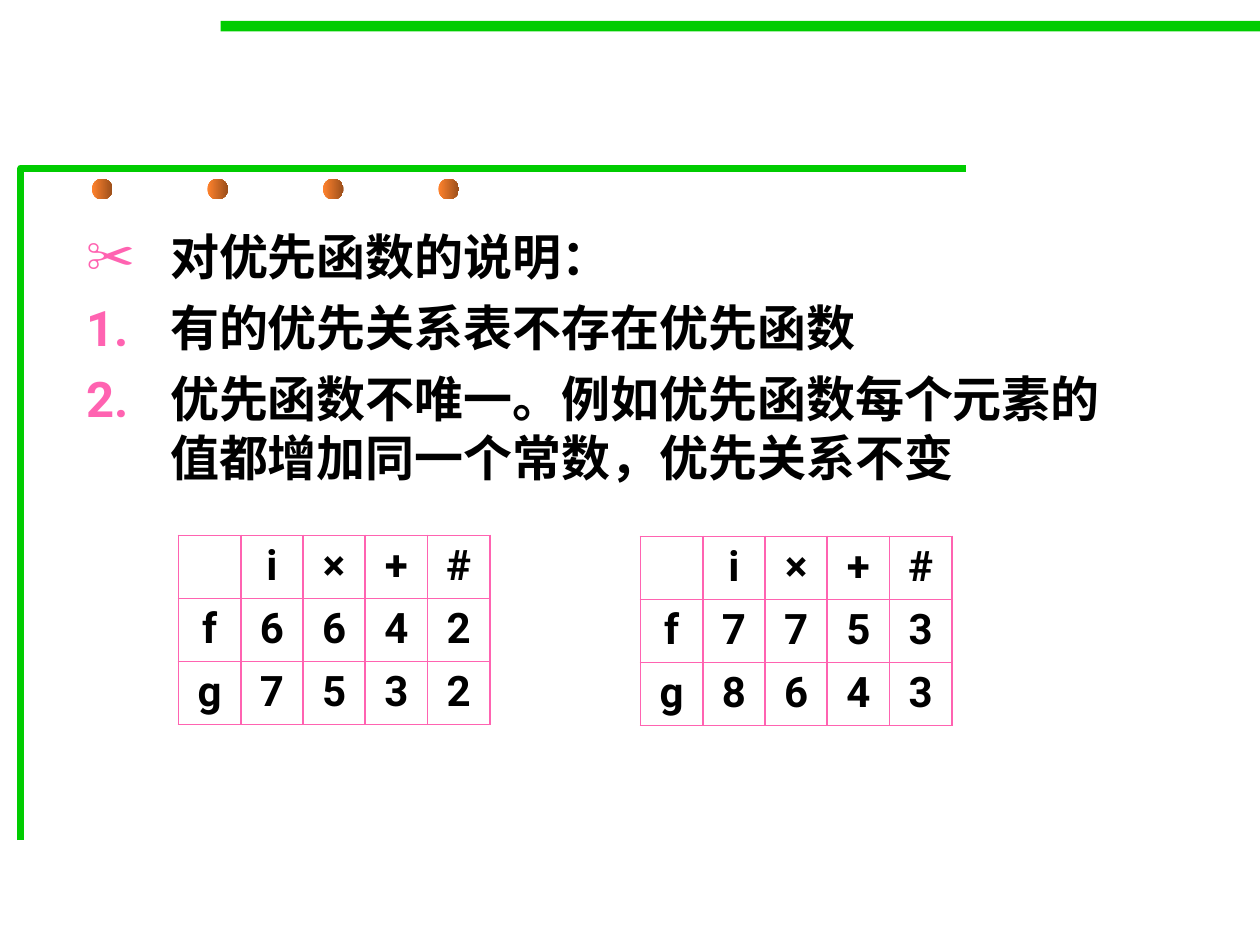
from lxml import etree
from pptx import Presentation
from pptx.dml.color import RGBColor
from pptx.enum.shapes import MSO_SHAPE
from pptx.enum.text import MSO_ANCHOR, MSO_AUTO_SIZE, PP_ALIGN
from pptx.oxml.ns import qn
from pptx.util import Pt

RECT, OVAL = MSO_SHAPE.RECTANGLE, MSO_SHAPE.OVAL
TOP, CENTER, NO_FIT = MSO_ANCHOR.TOP, PP_ALIGN.CENTER, MSO_AUTO_SIZE.NONE
FONT = "Roboto"
COLORS = {"green": "00CC00", "light": "FF822D", "dark": "9B4F1B",
          "pink": "FF63B1", "text": "000000"}
HEAD = ["", "i", "×", "+", "#"]


def rgb(name):
    return RGBColor.from_string(COLORS[name])


def add_node(parent, tag, **attrs):
    return etree.SubElement(parent, qn(tag), attrs)


def add_color(parent, name):
    add_node(parent, "a:srgbClr", val=COLORS[name])


def style_text(para, size):
    for run in para.runs:
        font = run.font
        font.name, font.size, font.bold = FONT, Pt(size), True
        font.color.rgb = rgb("text")
        # Chinese characters take the East Asian typeface
        add_node(font._element, "a:ea", typeface=FONT)


def add_bar(slide):
    bar = slide.shapes.add_shape(RECT, Pt(126), Pt(12), Pt(594), Pt(6))
    bar.shadow.inherit = False
    bar.fill.solid()
    bar.fill.fore_color.rgb = rgb("green")
    bar.line.fill.background()


def add_frame(slide):
    """Draw the open corner line at the left and top of the content."""
    pen = slide.shapes.build_freeform(Pt(12), Pt(480))
    pen.add_line_segments([(Pt(12), Pt(96)), (Pt(552), Pt(96))], close=False)
    frame = pen.convert_to_shape()
    frame.shadow.inherit = False
    frame.fill.background()
    frame.line.color.rgb = rgb("green")
    frame.line.width = Pt(4)
    add_node(frame.line._get_or_add_ln(), "a:round")


def add_dot(slide, left):
    dot = slide.shapes.add_shape(OVAL, Pt(left), Pt(102.2), Pt(11.8), Pt(11.8))
    dot.shadow.inherit = False
    dot.line.fill.background()
    dot.fill.gradient()
    dot.fill.gradient_angle = 0
    for stop, name, pos in zip(dot.fill.gradient_stops, ("light", "dark"), (0, 1)):
        stop.color.rgb = rgb(name)
        stop.position = pos


def add_bullet(para, tag, **attrs):
    props = para._p.get_or_add_pPr()
    props.set("marL", str(Pt(48)))
    props.set("indent", str(-Pt(48)))
    add_color(add_node(props, "a:buClr"), "pink")
    add_node(props, tag, **attrs)


def fill_body(body):
    body.left, body.top, body.width, body.height = Pt(42), Pt(126), Pt(612), Pt(366)
    frame = body.text_frame
    frame.auto_size = NO_FIT
    frame.vertical_anchor = TOP
    frame.text = "\n".join([
        "对优先函数的说明：",
        "有的优先关系表不存在优先函数",
        "优先函数不唯一。例如优先函数每个元素的值都增加同一个常数，优先关系不变",
    ])
    for num, para in enumerate(frame.paragraphs):
        para.space_before = Pt(7)
        if num:
            add_bullet(para, "a:buAutoNum", type="arabicPeriod")
        else:
            add_bullet(para, "a:buChar", char="✂")
        style_text(para, 28)


def add_borders(cell):
    props = cell._tc.get_or_add_tcPr()
    for tag in ("a:lnL", "a:lnR", "a:lnT", "a:lnB"):
        line = add_node(props, tag, w=str(Pt(1.08)))
        add_color(add_node(line, "a:solidFill"), "pink")


def add_grid(slide, left, top, rows):
    wide, high = 35.6, 36
    grid = slide.shapes.add_table(len(rows), len(HEAD), Pt(left), Pt(top),
                                  Pt(wide * len(HEAD)), Pt(high * len(rows))).table
    grid.first_row = grid.horz_banding = False
    for col in grid.columns:
        col.width = Pt(wide)
    for row, texts in zip(grid.rows, rows):
        row.height = Pt(high)
        for cell, text in zip(row.cells, texts):
            add_borders(cell)
            cell.fill.background()
            para = cell.text_frame.paragraphs[0]
            para.text = text
            para.alignment = CENTER
            para.space_before = Pt(6)
            style_text(para, 24)


def main():
    deck = Presentation()
    deck.slide_width, deck.slide_height = Pt(720), Pt(540)
    slide = deck.slides.add_slide(deck.slide_layouts[1])
    title = slide.shapes.title._element
    title.getparent().remove(title)
    add_bar(slide)
    add_frame(slide)
    for num in range(4):
        add_dot(slide, 52.5 + 66 * num)
    fill_body(slide.placeholders[1])
    add_grid(slide, 102, 306, [HEAD, "f6642", "g7532"])
    add_grid(slide, 366, 306.5, [HEAD, "f7753", "g8643"])
    deck.save("out.pptx")


if __name__ == "__main__":
    main()
